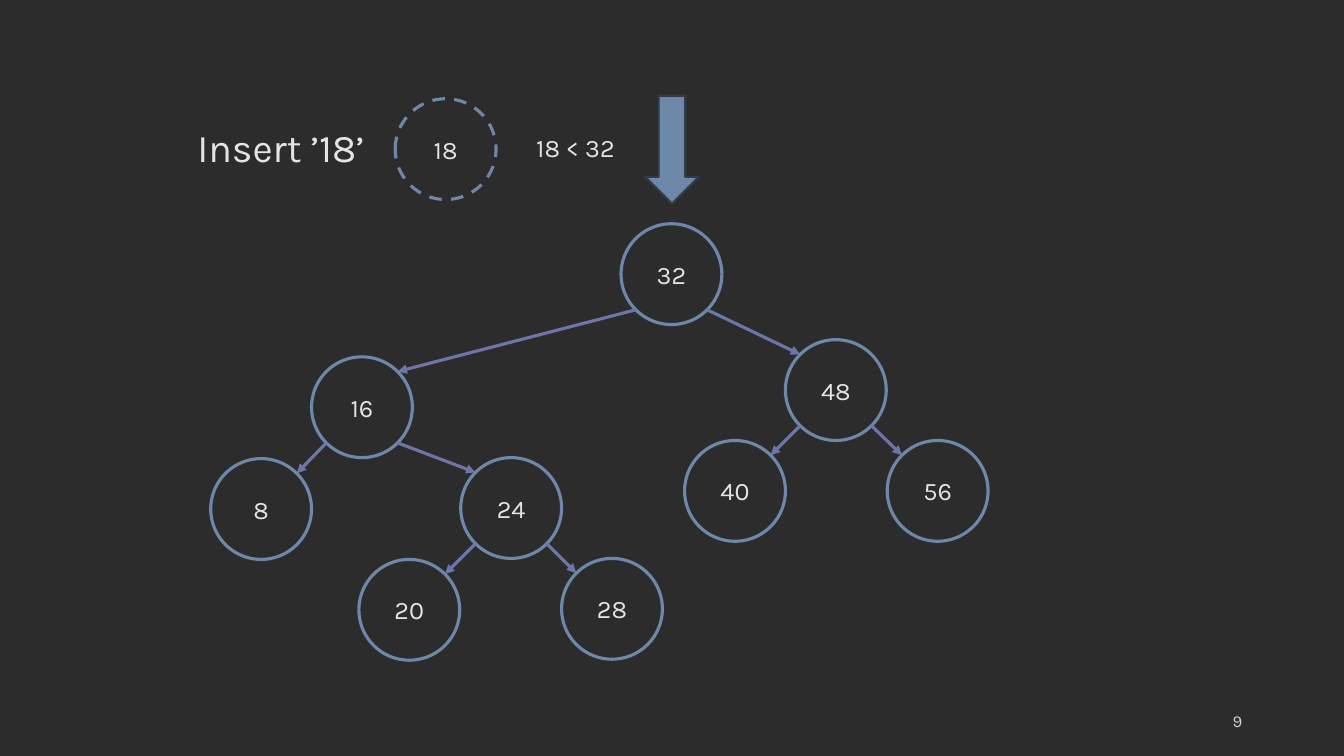
import math
from dataclasses import dataclass

from lxml import etree
from pptx import Presentation
from pptx import util as u
from pptx.dml.color import RGBColor
from pptx.enum import dml, shapes, text
from pptx.oxml import ns

COLORS = {
    "background": "2C2C2C",
    "text": "E4E4E4",
    "page": "D1D1D1",
    "node": "6D88A8",
    "edge": "6E75A8",
    "arrow_line": "303C4A",
}
FONT = "Karla"
DIAMETER = 1.0
RADIUS = DIAMETER / 2
DIAGONAL = RADIUS * math.sqrt(0.5)


@dataclass(frozen=True)
class Node:
    key: int
    left: float
    top: float
    children: tuple[int, ...] = ()
    dashed: bool = False


TREE = [
    Node(32, 6.16, 2.22, (16, 48)),
    Node(16, 3.09, 3.54, (8, 24)),
    Node(48, 7.79, 3.37, (40, 56)),
    Node(8, 2.09, 4.55),
    Node(24, 4.57, 4.54, (20, 28)),
    Node(40, 6.79, 4.37),
    Node(56, 8.8, 4.37),
    Node(20, 3.56, 5.55),
    Node(28, 5.57, 5.54),
]
NEW_NODE = Node(18, 3.92, 0.98, dashed=True)


def rgb(name: str) -> RGBColor:
    return RGBColor.from_string(COLORS[name])


def write(tf, content: str, *, size: float = 18, color: str = "text",
          align=text.PP_ALIGN.LEFT, anchor=text.MSO_ANCHOR.TOP, wrap: bool = True) -> None:
    tf.word_wrap = wrap
    tf.vertical_anchor = anchor
    p = tf.paragraphs[0]
    p.alignment = align
    r = p.add_run()
    r.text = content
    r.font.name = FONT
    r.font.size = u.Pt(size)
    r.font.color.rgb = rgb(color)


def add_label(s, content: str, left: float, top: float, width: float, height: float, **fmt) -> None:
    sp = s.shapes.add_textbox(*map(u.Inches, (left, top, width, height)))
    write(sp.text_frame, content, **fmt)


def add_node(s, node: Node) -> None:
    sp = s.shapes.add_shape(shapes.MSO_SHAPE.OVAL, u.Inches(node.left), u.Inches(node.top),
                            u.Inches(DIAMETER), u.Inches(DIAMETER))
    sp.shadow.inherit = False
    sp.fill.background()
    sp.line.color.rgb = rgb("node")
    sp.line.width = u.Pt(2.25)
    if node.dashed:
        sp.line.dash_style = dml.MSO_LINE.DASH
    tf = sp.text_frame
    tf.margin_left = tf.margin_right = tf.margin_top = tf.margin_bottom = 0
    write(tf, str(node.key), align=text.PP_ALIGN.CENTER, anchor=text.MSO_ANCHOR.MIDDLE)


def add_edge(s, parent: Node, child: Node) -> None:
    side = math.copysign(DIAGONAL, child.left - parent.left)
    ends = (
        parent.left + RADIUS + side,
        parent.top + RADIUS + DIAGONAL,
        child.left + RADIUS - side,
        child.top + RADIUS - DIAGONAL,
    )
    cx = s.shapes.add_connector(shapes.MSO_CONNECTOR.STRAIGHT, *map(u.Inches, ends))
    cx.line.color.rgb = rgb("edge")
    cx.line.width = u.Pt(2.25)
    etree.SubElement(cx.line._get_or_add_ln(), ns.qn("a:tailEnd"), type="triangle")
    etree.SubElement(cx._element.spPr, ns.qn("a:effectLst"))


def add_pointer(s, left: float, top: float, width: float, height: float) -> None:
    sp = s.shapes.add_shape(shapes.MSO_SHAPE.DOWN_ARROW,
                            *map(u.Inches, (left, top, width, height)))
    sp.shadow.inherit = False
    sp.fill.solid()
    sp.fill.fore_color.rgb = rgb("node")
    sp.line.color.rgb = rgb("arrow_line")
    sp.line.width = u.Pt(1.5)


def main() -> None:
    prs = Presentation()
    prs.slide_width, prs.slide_height = u.Inches(13.33), u.Inches(7.5)
    s = prs.slides.add_slide(prs.slide_layouts[6])
    s.background.fill.solid()
    s.background.fill.fore_color.rgb = rgb("background")

    add_label(s, "9", 9.42, 6.95, 3, 0.4, size=12, color="page",
              align=text.PP_ALIGN.RIGHT, anchor=text.MSO_ANCHOR.MIDDLE)

    by_key = {node.key: node for node in TREE}
    for node in TREE:
        add_node(s, node)
        for key in node.children:
            add_edge(s, node, by_key[key])

    add_pointer(s, 6.4, 0.95, 0.53, 1.07)
    add_label(s, "Insert ’18’", 1.86, 1.17, 1.89, 0.57, size=28, wrap=False)
    add_node(s, NEW_NODE)
    add_label(s, "18 < 32", 5.22, 1.26, 0.98, 0.4, wrap=False)
    prs.save("out.pptx")


if __name__ == "__main__":
    main()
